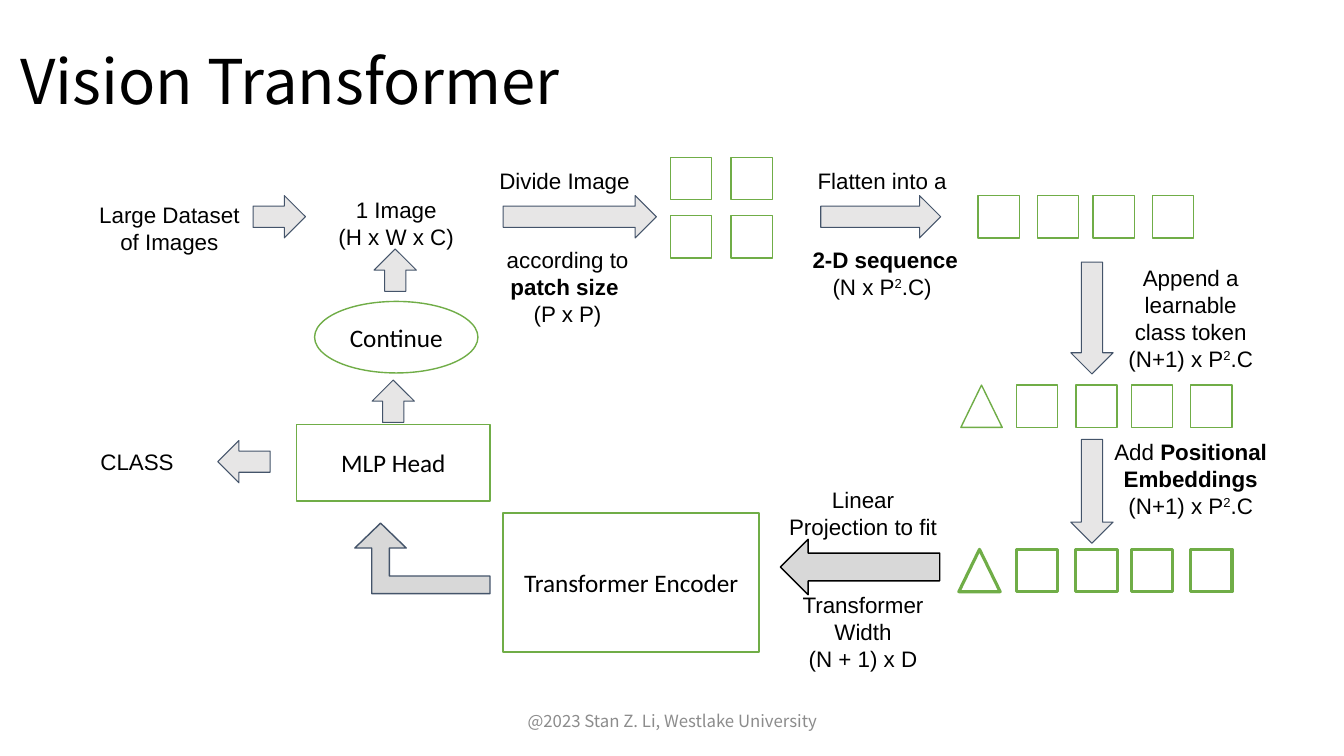
from pptx import Presentation
from pptx.dml.color import RGBColor
from pptx.enum.shapes import MSO_SHAPE
from pptx.enum.text import MSO_ANCHOR, PP_ALIGN
from pptx.oxml.ns import qn
from pptx.util import Inches, Pt

RECT, OVAL = MSO_SHAPE.RECTANGLE, MSO_SHAPE.OVAL
TRIANGLE = MSO_SHAPE.ISOSCELES_TRIANGLE
RIGHT, LEFT = MSO_SHAPE.RIGHT_ARROW, MSO_SHAPE.LEFT_ARROW
UP, DOWN = MSO_SHAPE.UP_ARROW, MSO_SHAPE.DOWN_ARROW
BENT = MSO_SHAPE.BENT_UP_ARROW
MIDDLE, TOP = MSO_ANCHOR.MIDDLE, MSO_ANCHOR.TOP
CENTER, START = PP_ALIGN.CENTER, PP_ALIGN.LEFT

BLACK, WHITE, GREEN = "000000", "FFFFFF", "70AD47"
SLATE, PALE, GRAY, DIM = "44546A", "E7E6E6", "D8D8D8", "8C8C8C"
NOTO = "Noto Sans CJK SC"
PATCH = (0.41, 0.42)
STEPS = (0, 0.59, 1.14, 1.73)  # patch offsets within a row
ARROW_GAP = 37  # points left free for an arrow between two lines


def color(code):
    return RGBColor.from_string(code)


def add_run(para, text, size, font, ink=BLACK):
    """A leading * marks bold, a leading ^ marks superscript."""
    run = para.add_run()
    run.text = text.lstrip("*^")
    run.font.size = Pt(size)
    run.font.name = font
    run.font.bold = text.startswith("*")
    run.font.color.rgb = color(ink)
    if text.startswith("^"):
        run.font._element.set("baseline", "30000")


def set_frame(frame, anchor, side, edge):
    frame.word_wrap = True
    frame.vertical_anchor = anchor
    frame.margin_left = frame.margin_right = Inches(side)
    frame.margin_top = frame.margin_bottom = Inches(edge)


def add_label(slide, box, paras, align=CENTER, gap_at=None):
    frame = slide.shapes.add_textbox(*map(Inches, box)).text_frame
    set_frame(frame, TOP, 0.1, 0.1)
    for i, runs in enumerate(paras):
        para = frame.paragraphs[0] if i == 0 else frame.add_paragraph()
        para.alignment = align
        if i == gap_at:
            para.space_before = Pt(ARROW_GAP)
        for text in runs:
            add_run(para, text, 16, "Arial")


def add_form(slide, kind, box, fill=WHITE, line=GREEN, width=1):
    form = slide.shapes.add_shape(kind, *map(Inches, box))
    form.shadow.inherit = False
    form.fill.solid()
    form.fill.fore_color.rgb = color(fill)
    form.line.color.rgb = color(line)
    form.line.width = Pt(width)
    return form


def add_arrow(slide, kind, box):
    add_form(slide, kind, box, PALE, SLATE, 0.75)


def add_block(slide, kind, box, text):
    frame = add_form(slide, kind, box).text_frame
    set_frame(frame, MIDDLE, 0.1, 0.05)
    frame.paragraphs[0].alignment = CENTER
    add_run(frame.paragraphs[0], text, 18, "Calibri")


def add_row(slide, left, top, width=1):
    for step in STEPS:
        add_form(slide, RECT, (left + step, top, *PATCH), width=width)


def add_title(slide):
    title = slide.shapes.title
    title.left, title.top = Inches(0.1), Inches(0.11)
    title.width, title.height = Inches(11.5), Inches(1.45)
    set_frame(title.text_frame, MIDDLE, 0.1, 0.05)
    para = title.text_frame.paragraphs[0]
    para.alignment = START
    para.line_spacing = 0.9
    add_run(para, "Vision Transformer", 44, NOTO)


def add_footer(slide):
    box = map(Inches, (4.42, 6.95, 4.5, 0.4))
    frame = slide.shapes.add_textbox(*box).text_frame
    set_frame(frame, MIDDLE, 0.1, 0.05)
    frame.paragraphs[0].alignment = CENTER
    add_run(frame.paragraphs[0], "@2023 Stan Z. Li, Westlake University",
            12, NOTO, DIM)


def main():
    prs = Presentation()
    prs.slide_width, prs.slide_height = Inches(13.33), Inches(7.5)
    slide = prs.slides.add_slide(prs.slide_layouts[5])
    add_title(slide)

    # Straight arrows
    for kind, box in (
        (RIGHT, (2.51, 1.94, 0.52, 0.42)),
        (RIGHT, (4.99, 1.94, 1.52, 0.42)),
        (RIGHT, (8.14, 1.94, 1.19, 0.42)),
        (DOWN, (10.62, 2.6, 0.42, 1.11)),
        (DOWN, (10.62, 4.36, 0.42, 1.03)),
        (LEFT, (2.16, 4.37, 0.52, 0.42)),
        (UP, (3.69, 3.77, 0.42, 0.42)),
        (UP, (3.71, 2.47, 0.42, 0.42)),
    ):
        add_arrow(slide, kind, box)
    add_form(slide, LEFT, (7.74, 5.35, 1.58, 0.55), GRAY, BLACK)

    # Bent arrow from encoder to head
    bent = add_form(slide, BENT, (3.52, 5.19, 1.34, 0.7), GRAY, SLATE)
    for i, value in enumerate((0.25, 0.364, 0.353)):
        bent.adjustments[i] = value
    bent._element.spPr.find(qn("a:xfrm")).set("flipH", "1")

    # Image patches and token rows
    for left in (6.65, 7.25):
        for top in (1.56, 2.14):
            add_form(slide, RECT, (left, top, *PATCH))
    add_row(slide, 9.7, 1.94)
    for left, top, width in ((9.53, 3.82, 1), (9.51, 5.45, 2.25)):
        add_form(slide, TRIANGLE, (left, top, *PATCH), width=width)
        add_row(slide, 10.08, top, width)

    # Model blocks
    add_block(slide, RECT, (4.99, 5.09, 2.54, 1.38), "Transformer Encoder")
    add_block(slide, RECT, (2.94, 4.21, 1.92, 0.76), "MLP Head")
    add_block(slide, OVAL, (3.12, 2.99, 1.62, 0.71), "Continue")

    # Step labels
    size = ["(N+1) x P", "^2", ".C"]
    add_label(slide, (0.85, 1.9, 1.66, 0.96), [["Large Dataset of Images"]])
    add_label(slide, (3.1, 1.85, 1.66, 0.96), [["1 Image"], ["(H x W x C)"]])
    add_label(slide, (4.8, 1.56, 1.66, 1.76),
              [["Divide Image "], ["according to ", "*patch size "],
               ["(P x P)"]], gap_at=1)
    add_label(slide, (7.95, 1.56, 1.66, 1.76),
              [["Flatten into a "], ["*2-D sequence"],
               ["(N x P", "^2", ".C) "]], gap_at=1)
    add_label(slide, (10.98, 2.52, 1.66, 1.2),
              [["Append a learnable class token"], size])
    add_label(slide, (10.88, 4.25, 1.86, 1.2),
              [["Add ", "*Positional Embeddings"], size])
    add_label(slide, (7.66, 4.72, 1.8, 2.04),
              [["Linear Projection to fit"], ["Transformer Width"],
               ["(N + 1) x D"]], gap_at=1)
    add_label(slide, (0.53, 4.35, 1.66, 0.42), [["CLASS"]])

    add_footer(slide)
    prs.save("out.pptx")


if __name__ == "__main__":
    main()
